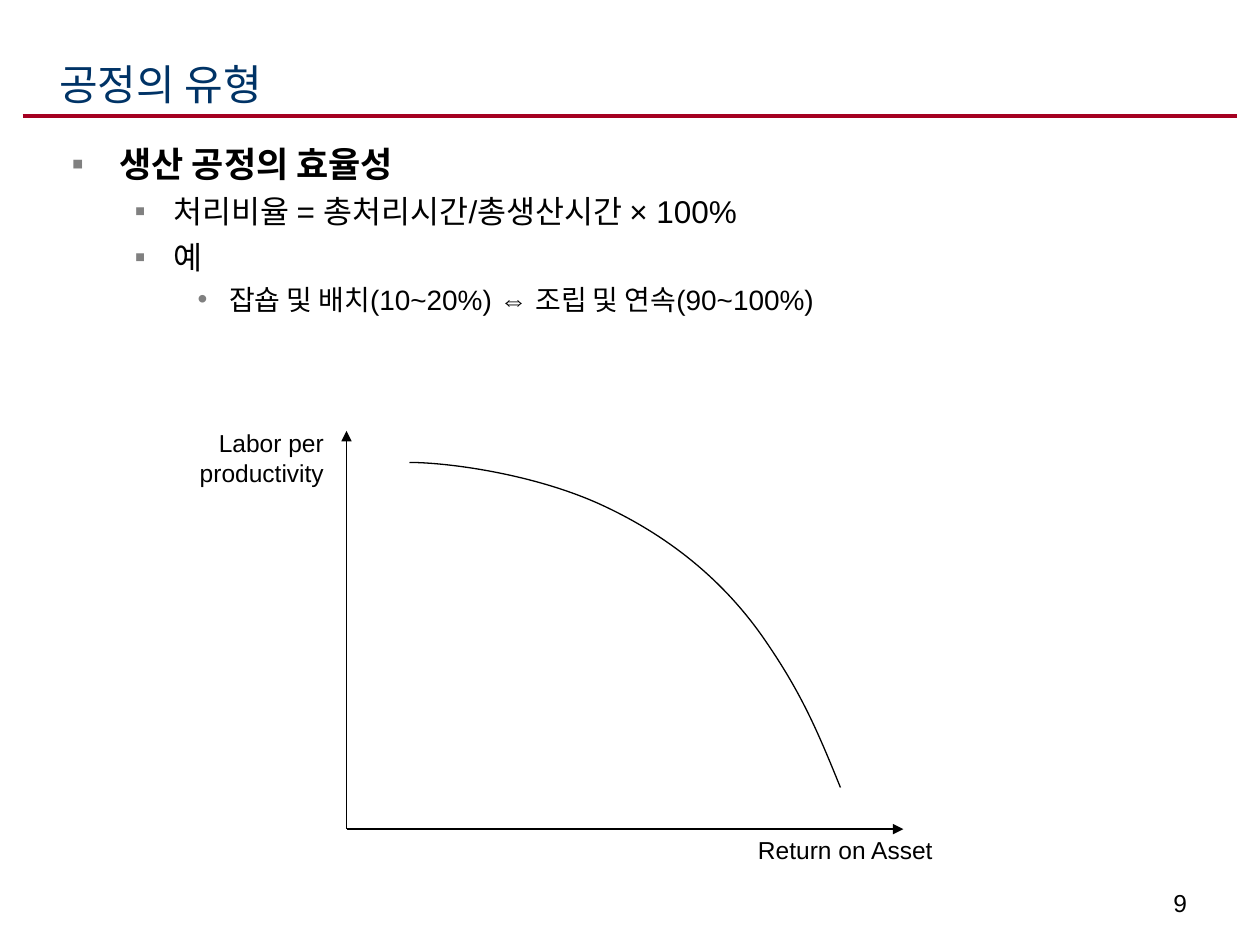
from dataclasses import dataclass

from lxml.etree import SubElement
from pptx import Presentation
from pptx.dml.color import RGBColor as Rgb
from pptx.enum.shapes import MSO_CONNECTOR as Link
from pptx.enum.text import MSO_ANCHOR as Anchor, MSO_AUTO_SIZE as Fit, PP_ALIGN as Align
from pptx.oxml.ns import qn
from pptx.util import Pt

PX = 9144  # EMU in one px, 100 px to the inch


@dataclass(frozen=True)
class Theme:
    ink: str = "000000"
    navy: str = "003366"
    red: str = "A50021"
    gray: str = "808080"
    head: str = "Montserrat"
    body: str = "Arial"
    title: int = 24
    label: int = 14
    thin: float = 0.75
    thick: float = 2.25


@dataclass(frozen=True)
class Level:
    size: int
    left: int
    hang: int
    gap: float
    mark: str
    bold: bool = False


LEVELS = (
    Level(20, 38, 38, 0, "▪", True),
    Level(18, 81, 31, 4.5, "▪"),
    Level(16, 125, 25, 4, "•"),
)


class Deck:
    def __init__(self, theme):
        self.theme = theme
        self.file = Presentation()
        self.file.slide_width, self.file.slide_height = 1000 * PX, 750 * PX
        self.slide = self.file.slides.add_slide(self.file.slide_layouts[6])

    def frame(self, box, wrap=True, anchor=Anchor.TOP):
        frame = self.slide.shapes.add_textbox(*(n * PX for n in box)).text_frame
        frame.word_wrap = wrap
        frame.auto_size = Fit.NONE if wrap else Fit.SHAPE_TO_FIT_TEXT
        frame.vertical_anchor = anchor
        return frame

    def font(self, par, size, face=None, color=None, bold=False):
        font = par.font
        font.size, font.bold = Pt(size), bold
        font.name = face or self.theme.body
        font.color.rgb = Rgb.from_string(color or self.theme.ink)

    def title(self, text, box):
        par = self.frame(box, anchor=Anchor.BOTTOM).paragraphs[0]
        par.text = text
        self.font(par, self.theme.title, self.theme.head, self.theme.navy)

    def label(self, text, box, align, wrap=False):
        par = self.frame(box, wrap).paragraphs[0]
        par.text, par.alignment = text, align
        self.font(par, self.theme.label)

    def bullets(self, items, box):
        frame = self.frame(box)
        for i, (depth, text) in enumerate(items):
            par = frame.add_paragraph() if i else frame.paragraphs[0]
            par.text, par.level = text, depth
            level = LEVELS[depth]
            self.mark(par, level)
            par.space_before = Pt(level.gap)
            self.font(par, level.size, bold=level.bold)

    def mark(self, par, level):
        """Give a paragraph its bullet and hanging indent."""
        prop = par._p.get_or_add_pPr()
        prop.set("marL", str(level.left * PX))
        prop.set("indent", str(-level.hang * PX))
        tint = SubElement(prop, qn("a:buClr"))
        SubElement(tint, qn("a:srgbClr"), val=self.theme.gray)
        SubElement(prop, qn("a:buFont"), typeface=self.theme.body)
        SubElement(prop, qn("a:buChar"), char=level.mark)

    def line(self, start, end, color=None, width=None, arrow=False):
        ends = (n * PX for n in (*start, *end))
        line = self.slide.shapes.add_connector(Link.STRAIGHT, *ends)
        line.line.color.rgb = Rgb.from_string(color or self.theme.ink)
        line.line.width = Pt(width or self.theme.thin)
        if arrow:
            SubElement(line.line._get_or_add_ln(), qn("a:tailEnd"), type="triangle")
        SubElement(line._element.spPr, qn("a:effectLst"))

    def curve(self, start, points):
        """Draw an open Bezier curve; each three points make one segment."""
        pen = self.slide.shapes.build_freeform(*start, scale=PX)
        pen.add_line_segments(points, close=False)
        shape = pen.convert_to_shape()
        steps = list(shape._element.iter(qn("a:lnTo")))
        for i in range(0, len(steps), 3):
            bend = steps[i].makeelement(qn("a:cubicBezTo"))
            steps[i].addprevious(bend)
            for step in steps[i:i + 3]:
                bend.append(step[0])
                step.getparent().remove(step)
        shape.shadow.inherit = False
        shape.fill.background()
        shape.line.color.rgb = Rgb.from_string(self.theme.ink)
        shape.line.width = Pt(self.theme.thin)


def main():
    theme = Theme()
    deck = Deck(theme)
    deck.line((18, 92), (982, 92), theme.red, theme.thick)
    deck.title("공정의 유형", (37, 30, 925, 61))
    deck.bullets([
        (0, "생산 공정의 효율성"),
        (1, "처리비율 = 총처리시간/총생산시간 × 100%"),
        (1, "예"),
        (2, "잡숍 및 배치(10~20%) ⇔ 조립 및 연속(90~100%)"),
    ], (47, 108, 906, 583))

    base = (275, 658)
    deck.line(base, (717, 658), arrow=True)
    deck.label("Return on Asset", (586, 658, 170, 34), Align.CENTER)
    deck.line(base, (275, 342), arrow=True)
    deck.label("Labor per\nproductivity", (137, 335, 130, 57), Align.RIGHT)
    deck.curve((325, 367), [
        (355, 367), (424, 376), (478, 401),
        (532, 426), (574, 461), (605, 505),
        (635, 548), (648, 578), (667, 625),
    ])
    deck.label("9", (736, 700, 216, 29), Align.RIGHT, wrap=True)
    deck.file.save("out.pptx")


if __name__ == "__main__":
    main()
